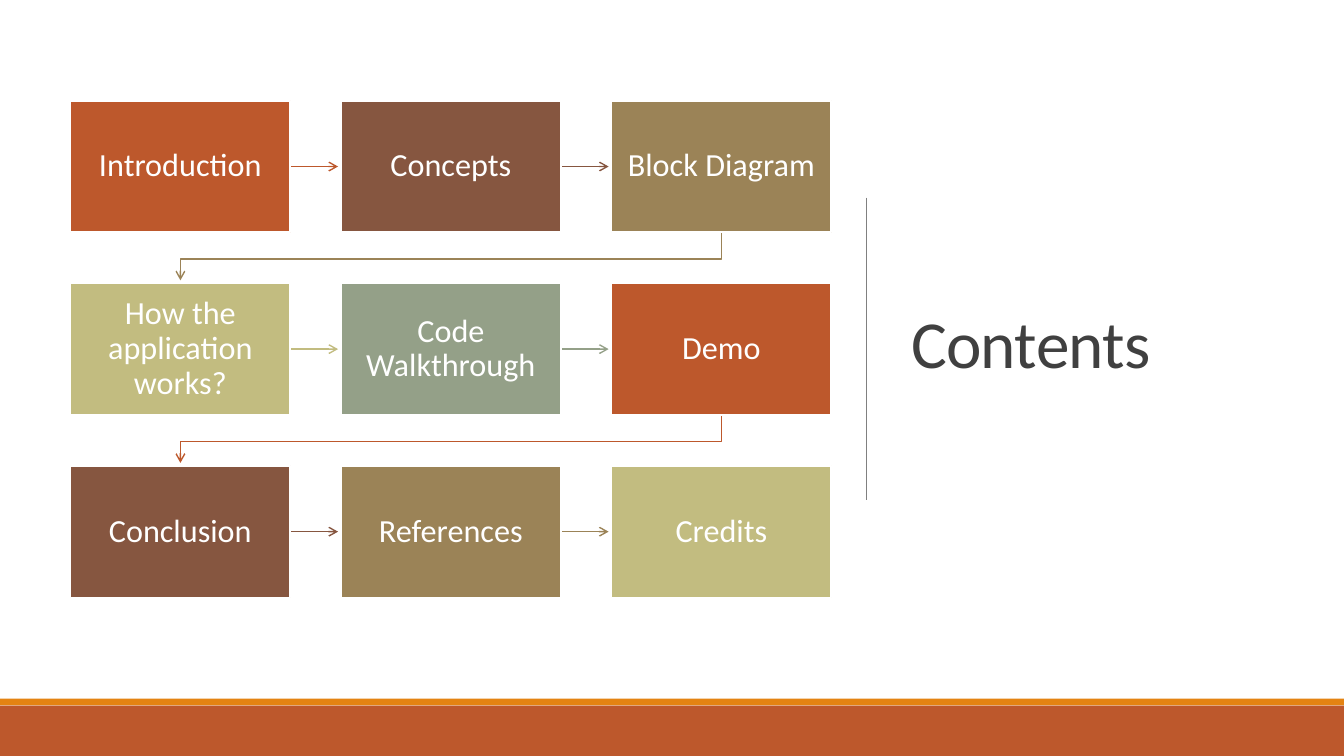
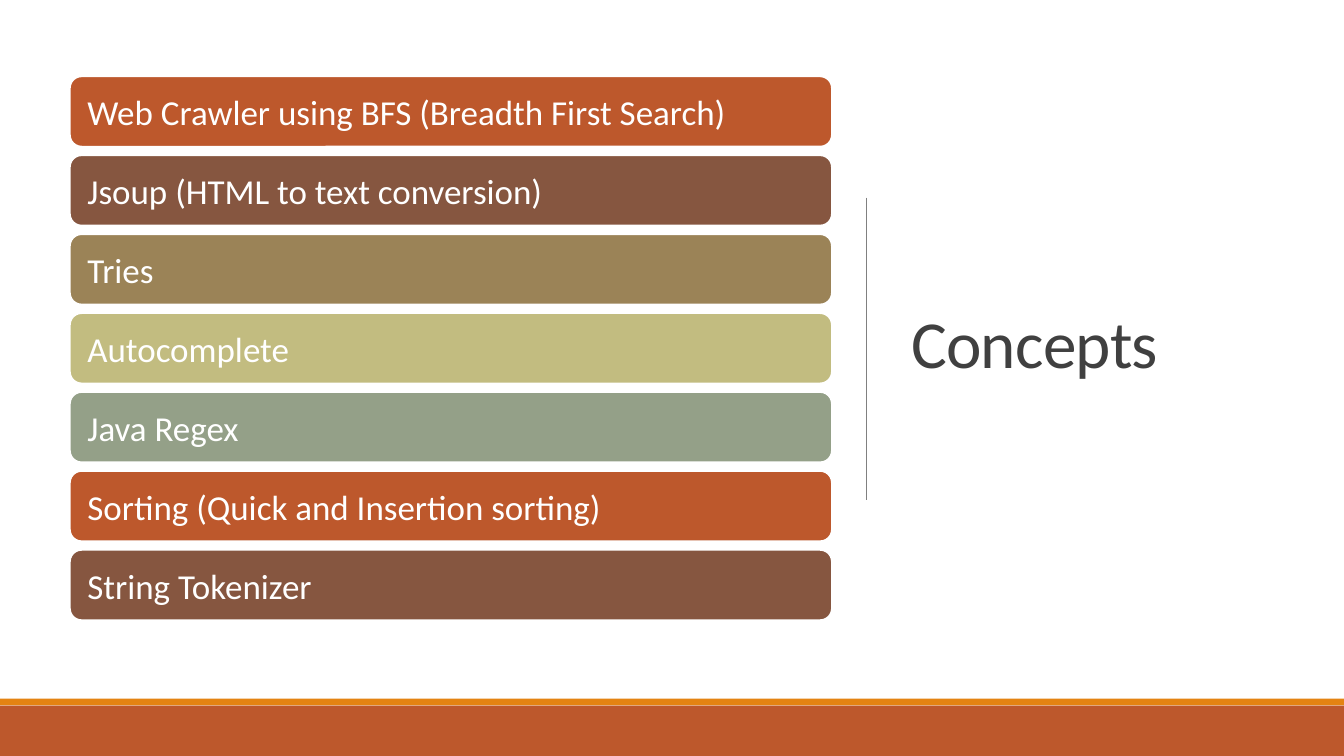
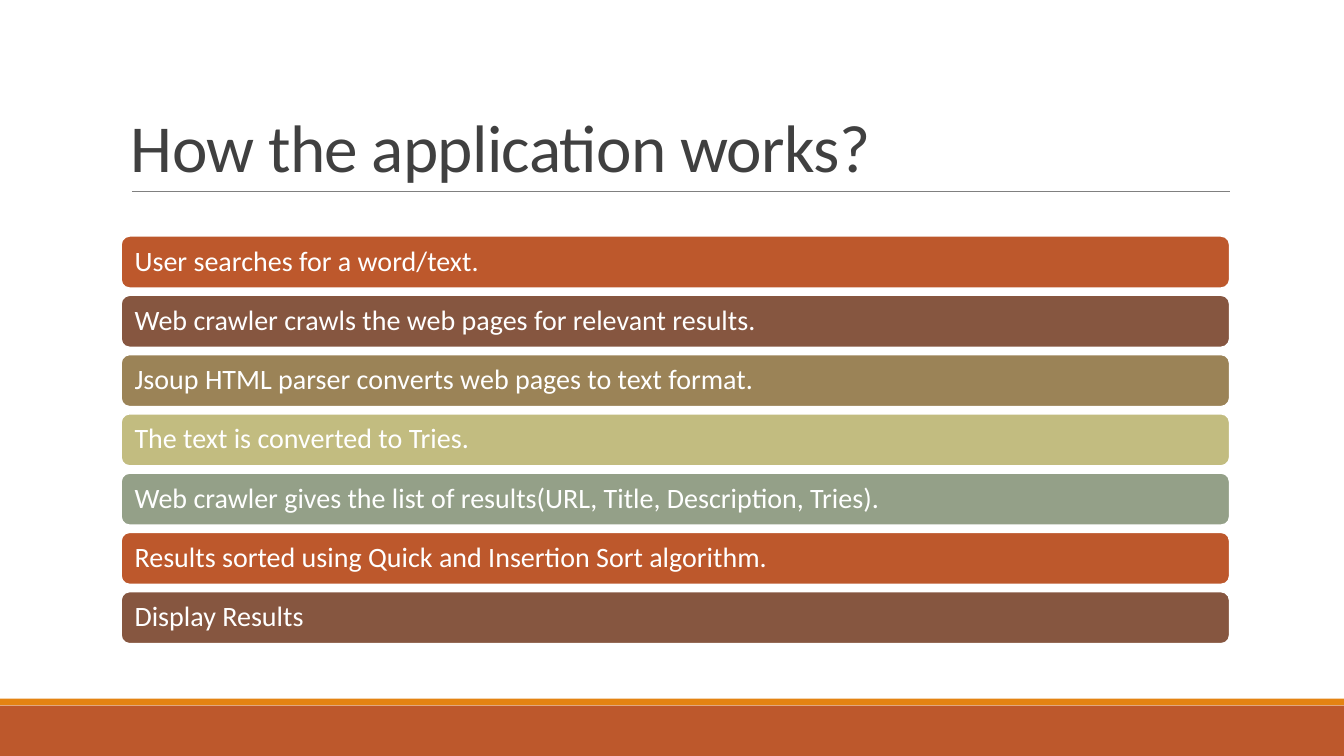
from dataclasses import dataclass
from itertools import cycle
from typing import Optional

from lxml.etree import SubElement
from pptx import Presentation
from pptx.dml.color import RGBColor
from pptx.enum.shapes import MSO_CONNECTOR as Connector, MSO_SHAPE as Preset
from pptx.enum.text import MSO_ANCHOR as Anchor, PP_ALIGN as Align
from pptx.oxml.ns import qn
from pptx.util import Inches, Pt

WIDTH, HEIGHT = Inches(13.33), Inches(7.5)
WHITE = RGBColor(0xFF, 0xFF, 0xFF)
INK = RGBColor(0x40, 0x40, 0x40)
GREY = RGBColor(0x80, 0x80, 0x80)
ORANGE = RGBColor(0xE4, 0x83, 0x12)
RUST = RGBColor(0xBD, 0x58, 0x2C)
BROWN = RGBColor(0x86, 0x56, 0x40)
TAN = RGBColor(0x9B, 0x83, 0x57)
OLIVE = RGBColor(0xC2, 0xBC, 0x80)
SAGE = RGBColor(0x94, 0xA0, 0x88)
ACCENTS = (RUST, BROWN, TAN, OLIVE, SAGE)
FONT = "Calibri"
ARROW_REACH, ARROW_BEND = 0.94, 0.52


def across(percent: float) -> int:
    return round(WIDTH * percent / 100)


def down(percent: float) -> int:
    return round(HEIGHT * percent / 100)


@dataclass(frozen=True)
class Area:
    left: float
    top: float
    width: float
    height: float

    def place(self) -> tuple:
        return across(self.left), down(self.top), across(self.width), down(self.height)


@dataclass(frozen=True)
class Grid:
    first: Area
    column_step: float
    row_step: float
    columns: int

    def cell(self, index: int) -> Area:
        row, column = divmod(index, self.columns)
        return Area(self.first.left + column * self.column_step,
                    self.first.top + row * self.row_step,
                    self.first.width, self.first.height)


@dataclass(frozen=True)
class TextStyle:
    size: float
    color: RGBColor = WHITE
    align: Align = Align.LEFT
    anchor: Anchor = Anchor.MIDDLE
    spacing: float = 1.0
    side_inset: float = 0.1
    edge_inset: float = 0.05
    tracking: Optional[int] = None


@dataclass(frozen=True)
class Heading:
    area: Area
    anchor: Anchor
    rule: tuple


SIDE_HEADING = Heading(Area(67.05, 9.2, 27.7, 73.7), Anchor.MIDDLE,
                       (64.45, 26.13, 64.45, 66.13))
TOP_HEADING = Heading(Area(9, 4.1, 82.5, 21.2), Anchor.BOTTOM,
                      (9.82, 25.3, 91.55, 25.3))
BANDS = ((Area(0, 92.4, 100, 0.9), ORANGE), (Area(0, 93.33, 100, 6.67), RUST))

FLOW_GRID = Grid(Area(5.25, 13.33, 16.35, 17.4), 20.13, 24.15, 3)
CONCEPT_GRID = Grid(Area(5.2, 10.1, 56.7, 9.3), 0, 10.44, 1)
STEP_GRID = Grid(Area(9, 31.2, 82.5, 6.93), 0, 7.84, 1)
FLOW_TEXT = TextStyle(23, align=Align.CENTER, spacing=0.9, side_inset=0.11)
CONCEPT_TEXT = TextStyle(25, side_inset=0.14)
STEP_TEXT = TextStyle(20, spacing=0.9, side_inset=0.11)

CONTENTS = ("Introduction", "Concepts", "Block Diagram",
            "How the application works?", "Code Walkthrough", "Demo",
            "Conclusion", "References", "Credits")
CONCEPTS = ("Web Crawler using BFS (Breadth First Search)",
            "Jsoup (HTML to text conversion)",
            "Tries",
            "Autocomplete",
            "Java Regex",
            "Sorting (Quick and Insertion sorting)",
            "String Tokenizer")
STEPS = ("User searches for a word/text.",
         "Web crawler crawls the web pages for relevant results.",
         "Jsoup HTML parser converts web pages to text format.",
         "The text is converted to Tries.",
         "Web crawler gives the list of results(URL, Title, Description, Tries).",
         "Results sorted using Quick and Insertion Sort algorithm.",
         "Display Results")


def apply(target, values: dict) -> None:
    for name, value in values.items():
        setattr(target, name, value)


def write(shape, text: str, style: TextStyle) -> None:
    frame = shape.text_frame
    side, edge = Inches(style.side_inset), Inches(style.edge_inset)
    apply(frame, {"word_wrap": True, "vertical_anchor": style.anchor,
                  "margin_left": side, "margin_right": side,
                  "margin_top": edge, "margin_bottom": edge})
    paragraph = frame.paragraphs[0]
    apply(paragraph, {"alignment": style.align, "line_spacing": style.spacing})
    run = paragraph.add_run()
    run.text = text
    apply(run.font, {"name": FONT, "size": Pt(style.size)})
    run.font.color.rgb = style.color
    if style.tracking is not None:
        run.font._element.set("spc", str(style.tracking))


def add_block(slide, preset: Preset, area: Area, fill: RGBColor,
              outline: Optional[RGBColor] = None):
    block = slide.shapes.add_shape(preset, *area.place())
    block.shadow.inherit = False
    block.fill.solid()
    block.fill.fore_color.rgb = fill
    if outline is None:
        block.line.fill.background()
    else:
        block.line.color.rgb = outline
        block.line.width = Pt(1.25)
    return block


def style_line(line, color: RGBColor, points: float, arrow: bool = False) -> None:
    line.line.color.rgb = color
    line.line.width = Pt(points)
    properties = line._element.spPr
    if arrow:
        SubElement(properties.find(qn("a:ln")), qn("a:tailEnd"), type="arrow")
    SubElement(properties, qn("a:effectLst"))


def add_straight(slide, x1: float, y1: float, x2: float, y2: float):
    return slide.shapes.add_connector(Connector.STRAIGHT, across(x1), down(y1),
                                      across(x2), down(y2))


def add_row_arrow(slide, start: Area, following: Area, color: RGBColor):
    right = start.left + start.width
    middle = start.top + start.height / 2
    tip = right + (following.left - right) * ARROW_REACH
    arrow = add_straight(slide, right, middle, tip, middle)
    style_line(arrow, color, 1, arrow=True)
    return arrow


def add_return_arrow(slide, start: Area, following: Area, color: RGBColor) -> None:
    bottom = start.top + start.height
    gap = following.top - bottom
    start_x = across(start.left + start.width / 2)
    end_x = across(following.left + following.width / 2)
    bend_y = down(bottom + gap * ARROW_BEND)
    outline = slide.shapes.build_freeform(start_x, down(bottom))
    outline.add_line_segments([(start_x, bend_y), (end_x, bend_y),
                               (end_x, down(bottom + gap * ARROW_REACH))], close=False)
    arrow = outline.convert_to_shape()
    arrow.fill.background()
    style_line(arrow, color, 1, arrow=True)


def add_flow(slide, topics: tuple, grid: Grid, style: TextStyle) -> None:
    for index, (topic, color) in enumerate(zip(topics, cycle(ACCENTS))):
        area, following = grid.cell(index), grid.cell(index + 1)
        row_arrow = None
        if index + 1 < len(topics):
            if following.top == area.top:
                row_arrow = add_row_arrow(slide, area, following, color)
            else:
                add_return_arrow(slide, area, following, color)
        topic_box = add_block(slide, Preset.RECTANGLE, area, color, WHITE)
        write(topic_box, topic, style)
        if row_arrow is not None:
            row_arrow.begin_connect(topic_box, 3)


def add_bars(slide, entries: tuple, grid: Grid, style: TextStyle) -> None:
    for index, (entry, color) in enumerate(zip(entries, cycle(ACCENTS))):
        bar = add_block(slide, Preset.ROUNDED_RECTANGLE, grid.cell(index), color, WHITE)
        write(bar, entry, style)


def add_page(deck, title: str, heading: Heading):
    slide = deck.slides.add_slide(deck.slide_layouts[6])
    for area, color in BANDS:
        add_block(slide, Preset.RECTANGLE, area, color)
    style_line(add_straight(slide, *heading.rule), GREY, 0.5)
    title_box = slide.shapes.add_textbox(*heading.area.place())
    write(title_box, title, TextStyle(48, INK, anchor=heading.anchor,
                                      spacing=0.85, tracking=-50))
    return slide


def main() -> None:
    deck = Presentation()
    apply(deck, {"slide_width": WIDTH, "slide_height": HEIGHT})
    add_flow(add_page(deck, "Contents", SIDE_HEADING), CONTENTS, FLOW_GRID, FLOW_TEXT)
    add_bars(add_page(deck, "Concepts", SIDE_HEADING), CONCEPTS, CONCEPT_GRID, CONCEPT_TEXT)
    add_bars(add_page(deck, "How the application works?", TOP_HEADING),
             STEPS, STEP_GRID, STEP_TEXT)
    deck.save("out.pptx")


if __name__ == "__main__":
    main()
